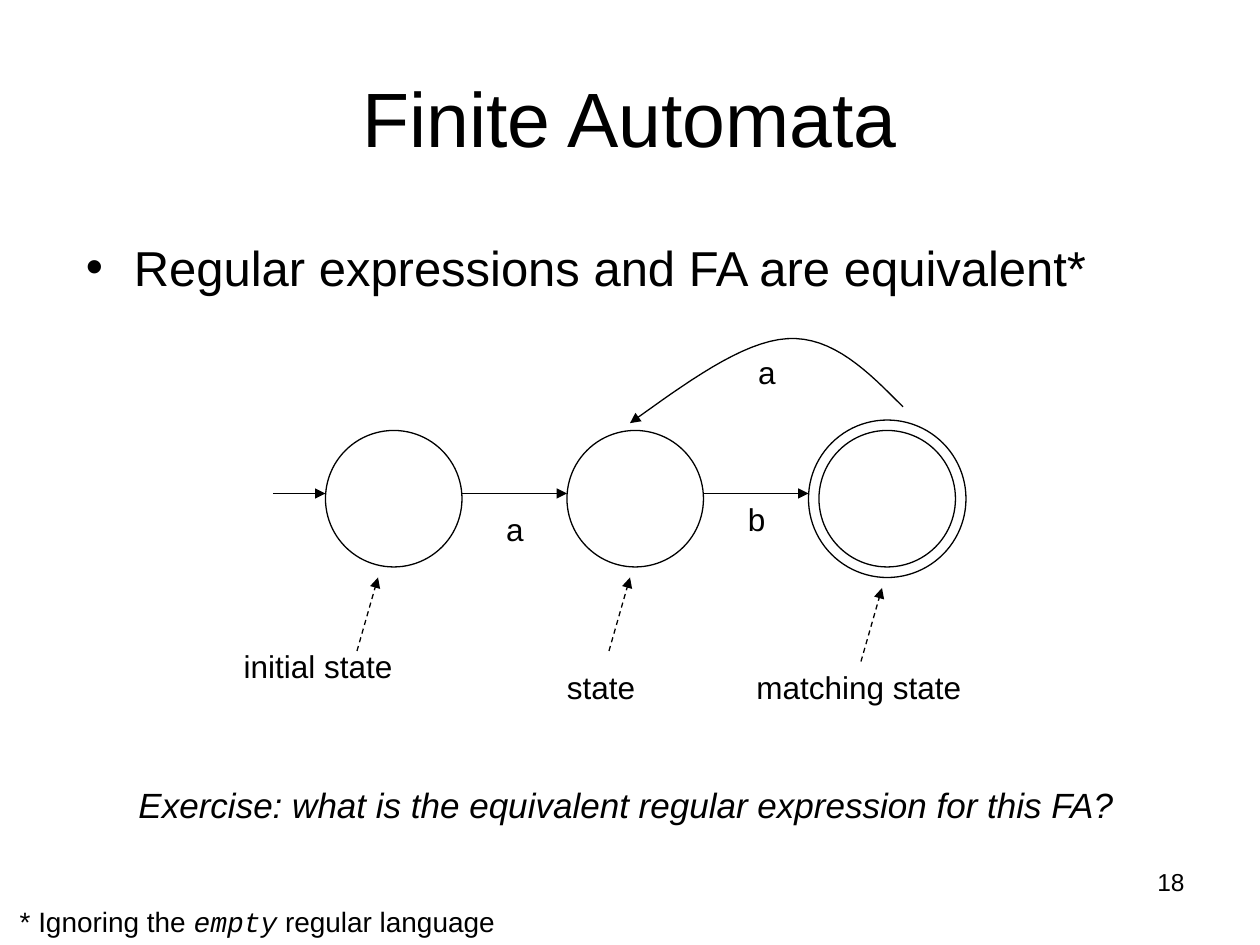
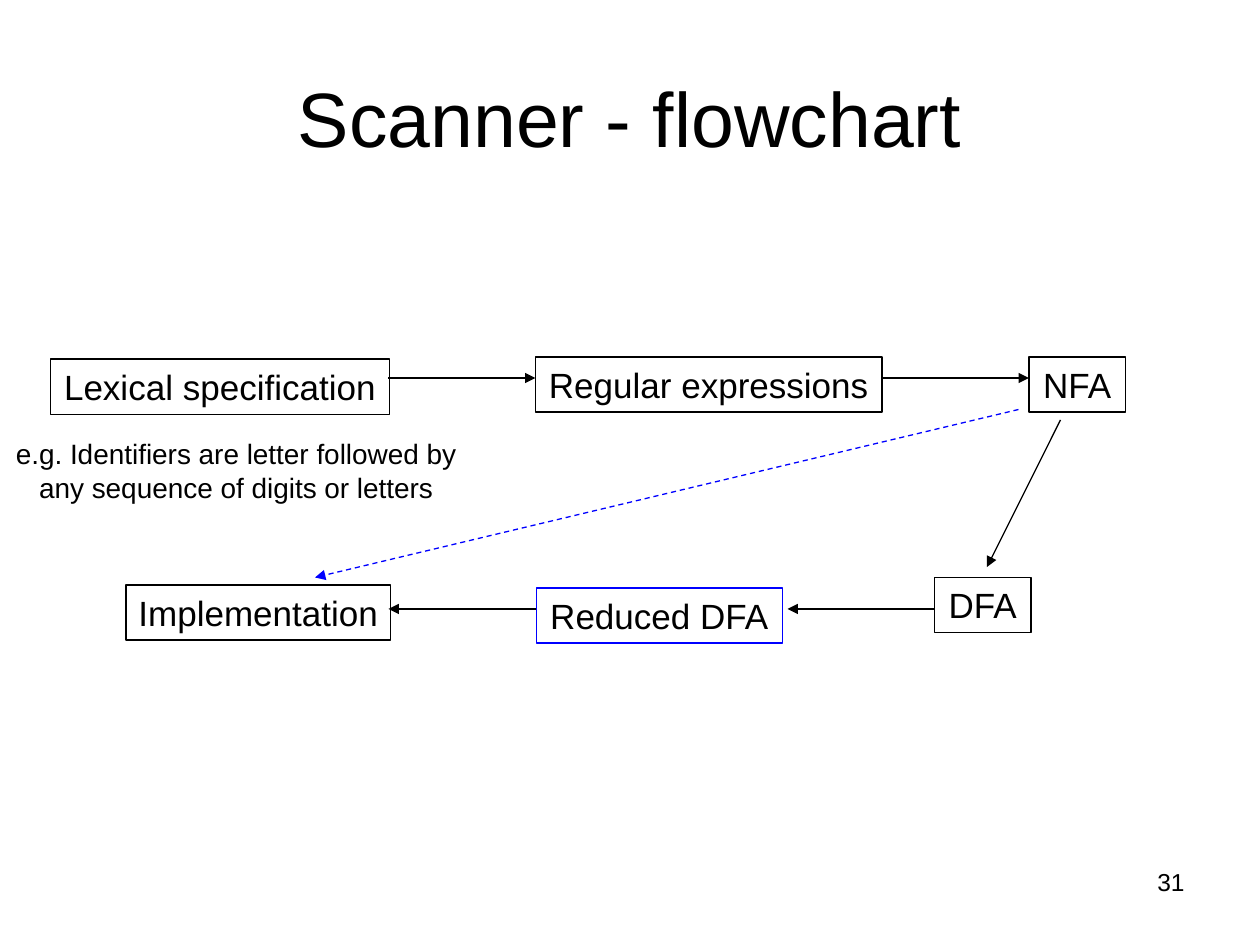
from dataclasses import dataclass

from lxml.etree import SubElement
from pptx import Presentation
from pptx.dml.color import RGBColor
from pptx.enum.dml import MSO_LINE
from pptx.enum.shapes import MSO_CONNECTOR, MSO_SHAPE
from pptx.enum.text import MSO_ANCHOR, MSO_AUTO_SIZE, PP_ALIGN
from pptx.oxml.ns import qn
from pptx.presentation import Presentation as Deck
from pptx.shapes.base import BaseShape
from pptx.slide import Slide
from pptx.util import Emu, Inches, Pt

COLUMNS, ROWS = 120, 90
SLIDE_W, SLIDE_H = Inches(10), Inches(7.5)
BLACK, BLUE = "000000", "0000FF"
SANS, MONO = "Arial", "Courier New"
LINE_WIDTH = Pt(0.75)
STATE_SIZE, STATE_ROW, TRANSITION_ROW = 13, 41, 47
TOP_FLOW_ROW, BOTTOM_FLOW_ROW = 36, 58
BOX_ROWS, LABEL_ROWS = 5.25, 4.8

Point = tuple[float, float]


@dataclass(frozen=True)
class Area:
    col: float
    row: float
    cols: float
    rows: float

    def emu(self) -> tuple[Emu, Emu, Emu, Emu]:
        return x(self.col), y(self.row), x(self.cols), y(self.rows)


@dataclass(frozen=True)
class Arrow:
    start: Point
    end: Point
    color: str = BLACK
    dashed: bool = False


@dataclass(frozen=True)
class Label:
    text: str
    col: float
    row: float
    cols: float


@dataclass(frozen=True)
class Box:
    text: str
    col: float
    row: float
    cols: float
    color: str = BLACK


TITLE = Area(6, 3.6, 108, 15)
NUMBER = Area(86, 82, 28, 6.2)

STATES = [
    Area(col, STATE_ROW, STATE_SIZE, STATE_SIZE) for col in (31, 54, 78)
] + [Area(77, STATE_ROW - 1, STATE_SIZE + 2, STATE_SIZE + 2)]
TRANSITIONS = [
    Arrow((start, TRANSITION_ROW), (end, TRANSITION_ROW))
    for start, end in ((26, 31), (44, 54), (67, 77))
]
POINTERS = [
    Arrow((col, row), (col + 2, row - 7), dashed=True)
    for col, row in ((34, 62), (58, 62), (82, 63))
]
LABELS = [
    Label("a", 71, 33, 4.1),
    Label("b", 70, 47, 4.1),
    Label("a", 47, 48, 4.1),
    Label("initial state", 21.9, 61, 16.8),
    Label("state", 52.7, 63, 9.1),
    Label("matching state", 70.7, 63, 22.2),
]
RETURN_CURVE = [
    [(86, 38.75), (82.7, 35.4), (79.3, 32), (75, 32.25)],
    [(75, 32.25), (70.7, 32.5), (65.3, 36.5), (60, 40.3)],
]

BOXES = [
    Box("Lexical specification", 4.8, 34.2, 32.3),
    Box("Regular expressions", 51, 34, 33),
    Box("NFA", 98, 34, 9.2),
    Box("DFA", 89, 55, 9.2),
    Box("Reduced DFA", 51.1, 56, 23.4, BLUE),
    Box("Implementation", 12, 55.7, 25.2),
]
FLOWS = [
    Arrow((37, TOP_FLOW_ROW), (51, TOP_FLOW_ROW)),
    Arrow((84, TOP_FLOW_ROW), (98, TOP_FLOW_ROW)),
    Arrow((51, BOTTOM_FLOW_ROW), (37, BOTTOM_FLOW_ROW)),
    Arrow((89, BOTTOM_FLOW_ROW), (75, BOTTOM_FLOW_ROW)),
    Arrow((101, 40), (94, 54)),
    Arrow((97, 39), (30, 55), BLUE, dashed=True),
]


def x(cols: float) -> Emu:
    return Emu(round(SLIDE_W * cols / COLUMNS))


def y(rows: float) -> Emu:
    return Emu(round(SLIDE_H * rows / ROWS))


def rgb(color: str) -> RGBColor:
    return RGBColor.from_string(color)


def write(
    sp: BaseShape,
    text: str,
    *,
    size: float,
    font: str = SANS,
    italic: bool = False,
    color: str = BLACK,
    align: PP_ALIGN = PP_ALIGN.CENTER,
    anchor: MSO_ANCHOR = MSO_ANCHOR.TOP,
    wrap: bool = False,
    bullet: bool = False,
) -> None:
    tf = sp.text_frame
    tf.word_wrap = wrap
    tf.vertical_anchor = anchor
    tf.auto_size = MSO_AUTO_SIZE.NONE if wrap else MSO_AUTO_SIZE.SHAPE_TO_FIT_TEXT
    p = tf.paragraphs[0]
    p.alignment = align
    if bullet:
        props = p._p.get_or_add_pPr()
        props.set("marL", str(Inches(0.38)))
        props.set("indent", str(-Inches(0.38)))
        SubElement(props, qn("a:buFont"), typeface=SANS)
        SubElement(props, qn("a:buChar"), char="•")
    r = p.add_run()
    r.text = text
    r.font.size = Pt(size)
    r.font.name = font
    r.font.italic = italic
    r.font.color.rgb = rgb(color)


def add_text(s: Slide, area: Area, text: str, **style) -> BaseShape:
    sp = s.shapes.add_textbox(*area.emu())
    write(sp, text, **style)
    return sp


def set_line(
    sp: BaseShape, color: str = BLACK, dashed: bool = False, arrow: bool = False
) -> None:
    sp.line.color.rgb = rgb(color)
    sp.line.width = LINE_WIDTH
    if dashed:
        sp.line.dash_style = MSO_LINE.DASH
    if arrow:
        SubElement(sp.line._get_or_add_ln(), qn("a:tailEnd"), type="triangle")


def add_outline(
    s: Slide, kind: MSO_SHAPE, area: Area, color: str = BLACK
) -> BaseShape:
    sp = s.shapes.add_shape(kind, *area.emu())
    sp.shadow.inherit = False
    sp.fill.background()
    set_line(sp, color)
    return sp


def add_arrow(s: Slide, arrow: Arrow) -> None:
    (x1, y1), (x2, y2) = arrow.start, arrow.end
    sp = s.shapes.add_connector(MSO_CONNECTOR.STRAIGHT, x(x1), y(y1), x(x2), y(y2))
    set_line(sp, arrow.color, arrow.dashed, arrow=True)
    SubElement(sp._element.spPr, qn("a:effectLst"))


def bezier(controls: list[Point], t: float) -> Point:
    weights = ((1 - t) ** 3, 3 * t * (1 - t) ** 2, 3 * t * t * (1 - t), t**3)
    col = sum(w * c for w, (c, _) in zip(weights, controls))
    row = sum(w * r for w, (_, r) in zip(weights, controls))
    return x(col), y(row)


def add_curve(s: Slide, pieces: list[list[Point]], steps: int = 16) -> None:
    builder = s.shapes.build_freeform(*bezier(pieces[0], 0))
    points = [bezier(piece, i / steps) for piece in pieces for i in range(1, steps + 1)]
    builder.add_line_segments(points, close=False)
    sp = builder.convert_to_shape()
    sp.shadow.inherit = False
    sp.fill.background()
    set_line(sp, arrow=True)


def add_slide(prs: Deck, title: str, number: int) -> Slide:
    s = prs.slides.add_slide(prs.slide_layouts[6])
    add_text(s, TITLE, title, size=44, anchor=MSO_ANCHOR.MIDDLE, wrap=True)
    add_text(s, NUMBER, str(number), size=14, align=PP_ALIGN.RIGHT, wrap=True)
    return s


def finite_automata(prs: Deck) -> None:
    s = add_slide(prs, "Finite Automata", 18)
    add_text(
        s,
        Area(7, 22, 111, 59.4),
        "Regular expressions and FA are equivalent*",
        size=28,
        align=PP_ALIGN.LEFT,
        wrap=True,
        bullet=True,
    )
    footnote = add_text(s, Area(0.5, 85.6, 48, 4.4), "* Ignoring the ", size=16)
    write(footnote, "empty", size=16, font=MONO, italic=True)
    write(footnote, " regular language", size=16)
    add_text(
        s,
        Area(11.8, 74, 95.7, BOX_ROWS),
        "Exercise: what is the equivalent regular expression for this FA?",
        size=20,
        italic=True,
    )
    for state in STATES:
        add_outline(s, MSO_SHAPE.OVAL, state)
    add_curve(s, RETURN_CURVE)
    for arrow in TRANSITIONS + POINTERS:
        add_arrow(s, arrow)
    for label in LABELS:
        area = Area(label.col, label.row, label.cols, LABEL_ROWS)
        add_text(s, area, label.text, size=18)


def scanner_flowchart(prs: Deck) -> None:
    s = add_slide(prs, "Scanner - flowchart", 31)
    for box in BOXES:
        area = Area(box.col, box.row, box.cols, BOX_ROWS)
        sp = add_outline(s, MSO_SHAPE.RECTANGLE, area, box.color)
        write(sp, box.text, size=20)
    for flow in FLOWS:
        add_arrow(s, flow)
    add_text(
        s,
        Area(-2, 41, 49, 7.7),
        "e.g. Identifiers are letter followed by any sequence of digits or letters",
        size=16,
        wrap=True,
    )


def main() -> None:
    prs = Presentation()
    prs.slide_width, prs.slide_height = SLIDE_W, SLIDE_H
    finite_automata(prs)
    scanner_flowchart(prs)
    prs.save("out.pptx")


if __name__ == "__main__":
    main()
